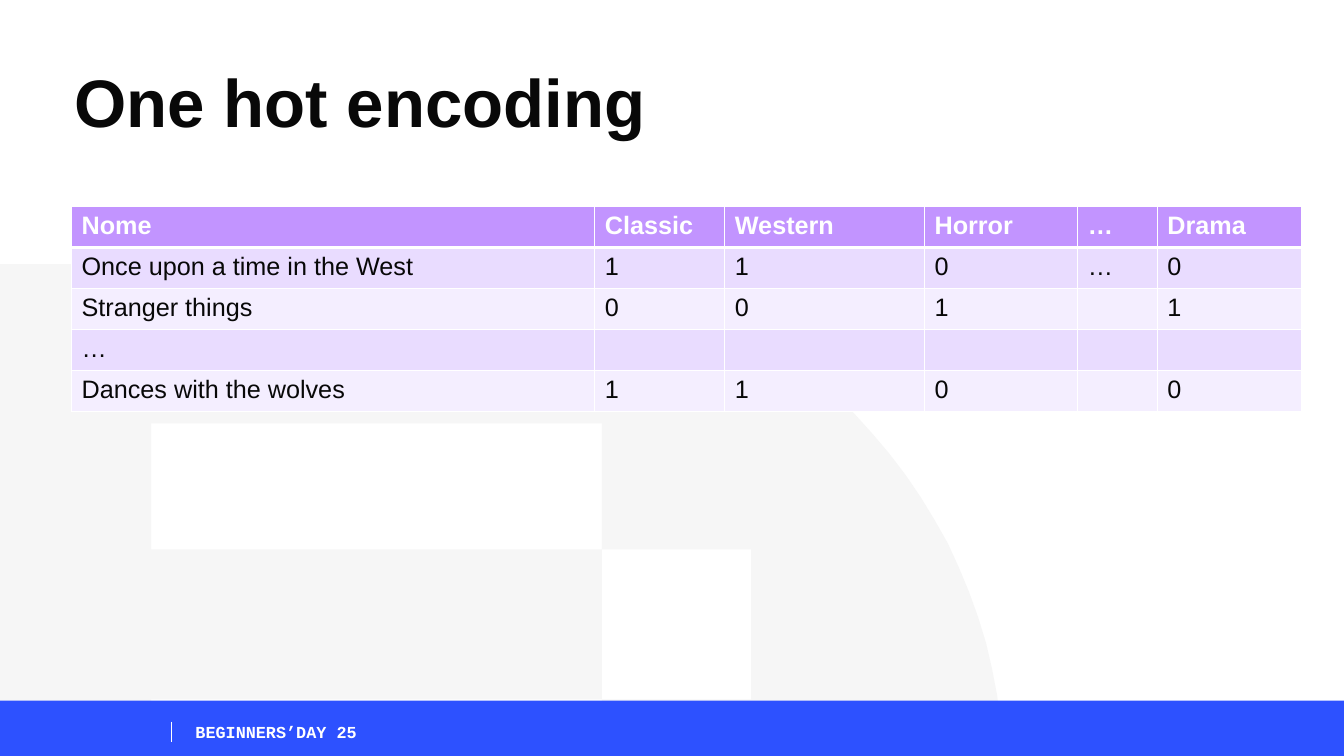
from math import cos, pi, sin
from typing import NamedTuple

from lxml.etree import SubElement
from pptx import Presentation
from pptx.dml.color import RGBColor
from pptx.enum.shapes import MSO_CONNECTOR as Connector, MSO_SHAPE as Shape
from pptx.enum.text import MSO_ANCHOR as Anchor, MSO_AUTO_SIZE as AutoSize, PP_ALIGN as Align
from pptx.oxml.ns import qn
from pptx.util import Emu, Pt

EMU_PER_PX = 9144  # 100 px to the inch

WHITE = "FFFFFF"
INK = "080808"
BLUE = "2D51FF"
GREY = "E5E5E5"
HEADER_PURPLE = "C294FF"
BAND_PURPLES = ("E9DCFF", "F4EEFF")


class Box(NamedTuple):
    left: int
    top: int
    width: int
    height: int

    def emu(self) -> tuple[Emu, ...]:
        return tuple(px(length) for length in self)


class Column(NamedTuple):
    genre: str
    width: int
    values: tuple[str, ...]


COLUMNS = (
    Column("Nome", 519, ("Once upon a time in the West", "Stranger things", "…",
                         "Dances with the wolves")),
    Column("Classic", 129, ("1", "0", "", "1")),
    Column("Western", 198, ("1", "0", "", "1")),
    Column("Horror", 152, ("0", "1", "", "0")),
    Column("…", 79, ("…", "", "", "")),
    Column("Drama", 143, ("0", "1", "", "0")),
)
TABLE_BOX = Box(71, 205, sum(column.width for column in COLUMNS), 203)

LETTER_HOLES = (
    Box(150, 420, 447, 125),
    Box(597, 545, 148, 149),
    Box(150, 694, 447, 148),
    Box(597, 842, 148, 148),
    Box(150, 990, 447, 125),
)


def px(length: int) -> Emu:
    return Emu(length * EMU_PER_PX)


def rgb(color: str) -> RGBColor:
    return RGBColor.from_string(color)


def style_text(frame, font_name: str, size: int, color: str, bold: bool) -> None:
    for paragraph in frame.paragraphs:
        for run in paragraph.runs:
            run.font.name = font_name
            run.font.size = Pt(size)
            run.font.bold = bold
            run.font.color.rgb = rgb(color)


def draw_letter(slide) -> None:
    """Pale rounded letter with rectangular holes, running off the lower edge."""
    center_x, center_y, radius, steps = 488, 769, 507, 60
    angles = [pi * step / steps - pi / 2 for step in range(steps + 1)]
    bowl = [(center_x + radius * cos(a), center_y + radius * sin(a)) for a in angles]
    top, bottom = center_y - radius, center_y + radius

    outline = slide.shapes.build_freeform(0, top, scale=EMU_PER_PX)
    outline.add_line_segments([*bowl, (0, bottom)])
    for left, upper, width, height in LETTER_HOLES:
        right, lower = left + width, upper + height
        outline.move_to(left, upper)
        outline.add_line_segments([(left, lower), (right, lower), (right, upper)])
    letter = outline.convert_to_shape()
    letter.shadow.inherit = False
    letter.line.fill.background()
    letter.fill.solid()
    letter.fill.fore_color.rgb = rgb(GREY)
    fill_color = letter.element.spPr.find(f"{qn('a:solidFill')}/{qn('a:srgbClr')}")
    SubElement(fill_color, qn("a:alpha"), val="34000")


def draw_footer(slide) -> None:
    band = slide.shapes.add_shape(Shape.RECTANGLE, *Box(0, 695, 1333, 55).emu())
    band.shadow.inherit = False
    band.fill.solid()
    band.fill.fore_color.rgb = rgb(BLUE)
    band.line.fill.background()

    event = slide.shapes.add_textbox(*Box(184, 711, 1149, 30).emu()).text_frame
    event.word_wrap = True
    event.auto_size = AutoSize.SHAPE_TO_FIT_TEXT
    event.text = "BEGINNERS’DAY 25"
    style_text(event, "Courier New", 12, WHITE, bold=True)

    divider = slide.shapes.add_connector(
        Connector.STRAIGHT, px(170), px(716), px(170), px(736))
    divider.line.color.rgb = rgb(WHITE)
    divider.line.width = Pt(0.75)
    SubElement(divider.element.spPr, qn("a:effectLst"))


def place_title(slide) -> None:
    title = slide.shapes.title
    title.element.getparent().append(title.element)  # in front of the backdrop
    title.left, title.top, title.width, title.height = Box(64, 55, 972, 100).emu()
    frame = title.text_frame
    frame.text = "One hot encoding"
    frame.word_wrap = True
    frame.auto_size = AutoSize.NONE
    frame.vertical_anchor = Anchor.MIDDLE
    frame.paragraphs[0].alignment = Align.LEFT
    frame.paragraphs[0].line_spacing = 0.9
    style_text(frame, "Arial", 48, INK, bold=True)


def add_borders(cell, below_header: bool, is_header: bool) -> None:
    widths = {"L": 1, "R": 1, "T": 3 if below_header else 1, "B": 3 if is_header else 1}
    properties = cell._tc.get_or_add_tcPr()
    for side, width in widths.items():
        border = SubElement(properties, qn(f"a:ln{side}"), w=str(Pt(width)))
        fill = SubElement(border, qn("a:solidFill"))
        SubElement(fill, qn("a:srgbClr"), val=WHITE)


def draw_table(slide) -> None:
    row_count = len(COLUMNS[0].values) + 1
    table = slide.shapes.add_table(row_count, len(COLUMNS), *TABLE_BOX.emu()).table
    for column_index, column in enumerate(COLUMNS):
        table.columns[column_index].width = px(column.width)
        for row_index, entry in enumerate((column.genre, *column.values)):
            is_header = row_index == 0
            cell = table.cell(row_index, column_index)
            add_borders(cell, row_index == 1, is_header)
            cell.fill.solid()
            cell.fill.fore_color.rgb = rgb(
                HEADER_PURPLE if is_header else BAND_PURPLES[(row_index - 1) % 2])
            cell.text = entry
            style_text(cell.text_frame, "Arial", 18, WHITE if is_header else INK, is_header)


def main() -> None:
    presentation = Presentation()
    presentation.slide_width, presentation.slide_height = px(1333), px(750)
    slide = presentation.slides.add_slide(presentation.slide_layouts.get_by_name("Title Only"))
    draw_letter(slide)
    draw_footer(slide)
    place_title(slide)
    draw_table(slide)
    presentation.save("out.pptx")


if __name__ == "__main__":
    main()
